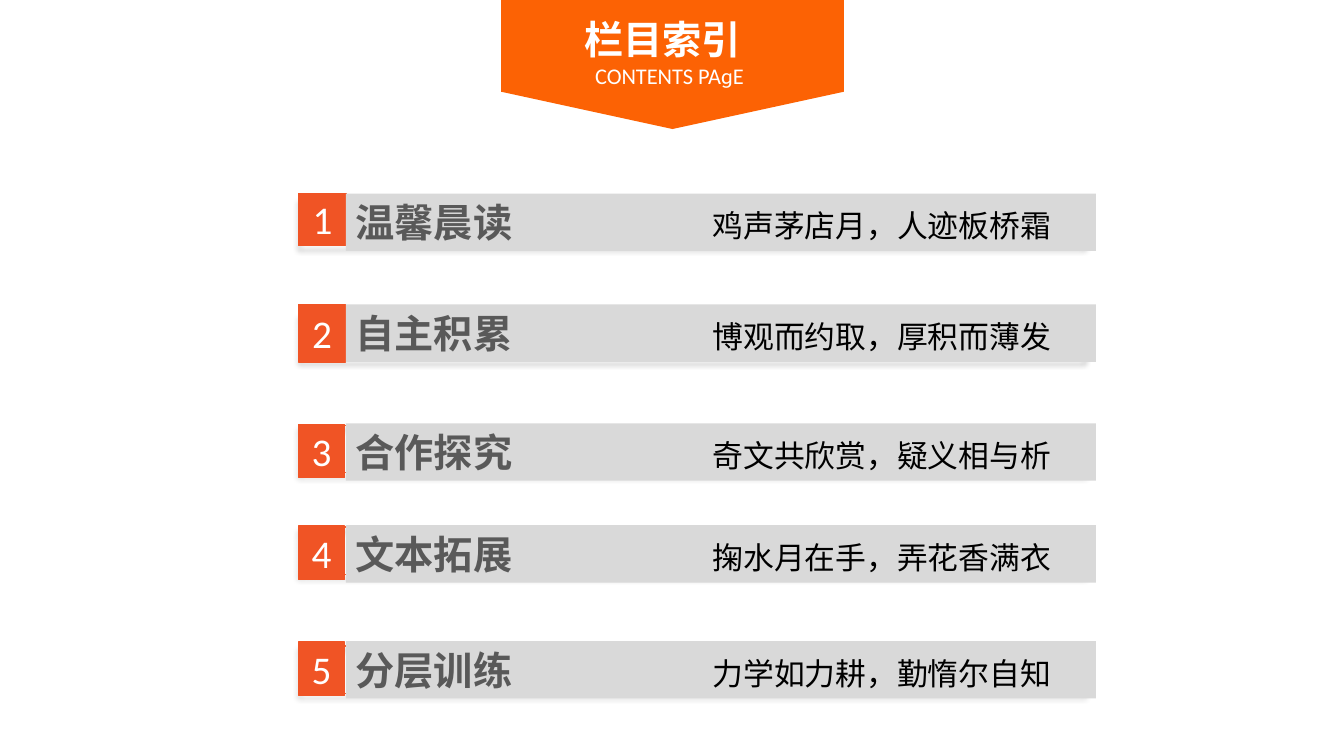
"""Build the contents slide: an orange banner above five numbered section bars."""
from dataclasses import dataclass

from lxml.etree import SubElement
from pptx import Presentation
from pptx.dml.color import RGBColor
from pptx.enum.shapes import MSO_SHAPE as Shape
from pptx.enum.text import MSO_ANCHOR as Anchor, PP_ALIGN as Align
from pptx.oxml.ns import qn
from pptx.util import Inches, Pt

HEADING = "栏目索引"
SUBHEADING = "CONTENTS PAɡE"

# fields: title, verse, bar top, number box top/width/height, frame top/height
SECTIONS = [
    ("温馨晨读", "鸡声茅店月，人迹板桥霜", 1.92, (1.92, 0.48, 0.51), (1.97, 0.46)),
    ("自主积累", "博观而约取，厚积而薄发", 3.02, (3.02, 0.47, 0.57), (3.12, 0.44)),
    ("合作探究", "奇文共欣赏，疑义相与析", 4.20, (4.21, 0.46, 0.53), (4.22, 0.47)),
    ("文本拓展", "掬水月在手，弄花香满衣", 5.21, (5.22, 0.46, 0.53), (5.23, 0.47)),
    ("分层训练", "力学如力耕，勤惰尔自知", 6.36, (6.37, 0.46, 0.53), (6.41, 0.47)),
]


@dataclass(frozen=True)
class Theme:
    paper: str = "FFFFFF"
    banner: str = "FC6204"
    accent: str = "F05425"
    bar: str = "D9D9D9"
    title: str = "595959"
    verse: str = "000000"
    cjk: str = "Noto Sans CJK SC"
    latin: str = "Calibri"
    large: int = 28
    medium: int = 22
    small: int = 16


T = Theme()
LEFT, FRAME_W = 2.96, 7.79
BAR_LEFT, BAR_W, BAR_H = 3.43, 7.44, 0.57
VERSE_TAB = 3.54
BANNER_LEFT, BANNER_W, BANNER_SIDE, BANNER_TIP = 4.97, 3.4, 0.91, 1.28


def rgb(code):
    return RGBColor.from_string(code)


def add_run(p, text, size, color, font, bold=False):
    r = p.add_run()
    r.text = text
    r.font.size, r.font.bold, r.font.name = Pt(size), bold, font
    r.font.color.rgb = rgb(color)
    SubElement(r.font._element, qn("a:ea"), typeface=font)


def paint(sp, fill=None, line=None):
    sp.shadow.inherit = False
    if fill:
        sp.fill.solid()
        sp.fill.fore_color.rgb = rgb(fill)
    else:
        sp.fill.background()
    if line:
        sp.line.color.rgb = rgb(line)
        sp.line.width = Pt(1)
    else:
        sp.line.fill.background()


def add_rect(s, x, y, w, h, fill=None, line=None):
    sp = s.shapes.add_shape(Shape.RECTANGLE, *map(Inches, (x, y, w, h)))
    paint(sp, fill, line)
    sp.text_frame.vertical_anchor = Anchor.MIDDLE
    return sp


def cast_shadow(sp):
    effects = sp._element.spPr.find(qn("a:effectLst"))
    shadow = SubElement(effects, qn("a:outerShdw"), blurRad=str(Pt(4)),
                        dist=str(Pt(3)), dir="5400000", rotWithShape="0")
    color = SubElement(shadow, qn("a:srgbClr"), val="000000")
    SubElement(color, qn("a:alpha"), val="40000")


def add_section(s, number, title, verse, top, box, frame):
    frame_top, frame_h = frame
    cast_shadow(add_rect(s, LEFT, frame_top, FRAME_W, frame_h, line=T.accent))

    box_top, box_w, box_h = box
    sp = add_rect(s, LEFT, box_top, box_w, box_h, T.accent, T.accent)
    p = sp.text_frame.paragraphs[0]
    p.alignment = Align.CENTER
    add_run(p, str(number), T.large, T.paper, T.latin)

    tf = add_rect(s, BAR_LEFT, top, BAR_W, BAR_H, T.bar).text_frame
    tf.word_wrap = True
    tf.margin_top = tf.margin_bottom = 0
    p = tf.paragraphs[0]
    p.alignment = Align.LEFT
    tabs = SubElement(p._p.get_or_add_pPr(), qn("a:tabLst"))
    SubElement(tabs, qn("a:tab"), pos=str(Inches(VERSE_TAB)), algn="l")
    add_run(p, title + "\t", T.large, T.title, T.cjk, True)
    add_run(p, verse, T.medium, T.verse, T.cjk)


def add_banner(s):
    right, middle = BANNER_LEFT + BANNER_W, BANNER_LEFT + BANNER_W / 2
    corners = [(right, 0), (right, BANNER_SIDE), (middle, BANNER_TIP),
               (BANNER_LEFT, BANNER_SIDE)]
    outline = s.shapes.build_freeform(Inches(BANNER_LEFT), 0)
    outline.add_line_segments([(Inches(x), Inches(y)) for x, y in corners])
    paint(outline.convert_to_shape(), T.banner)

    tf = s.shapes.add_textbox(*map(Inches, (BANNER_LEFT, 0.1, BANNER_W, 0.93))).text_frame
    tf.word_wrap = True
    lines = [(HEADING, T.large, T.cjk, True, 0.2),
             (SUBHEADING, T.small, T.latin, False, 0.06)]
    for i, (text, size, font, bold, indent) in enumerate(lines):
        p = tf.add_paragraph() if i else tf.paragraphs[0]
        p.alignment = Align.CENTER
        p._p.get_or_add_pPr().set("marR", str(Inches(indent)))
        add_run(p, text, size, T.paper, font, bold)


def main():
    prs = Presentation()
    prs.slide_width, prs.slide_height = Inches(13.33), Inches(7.5)
    s = prs.slides.add_slide(prs.slide_layouts[6])
    s.background.fill.solid()
    s.background.fill.fore_color.rgb = rgb(T.paper)
    add_banner(s)
    for number, section in enumerate(SECTIONS, 1):
        add_section(s, number, *section)
    prs.save("out.pptx")


if __name__ == "__main__":
    main()
